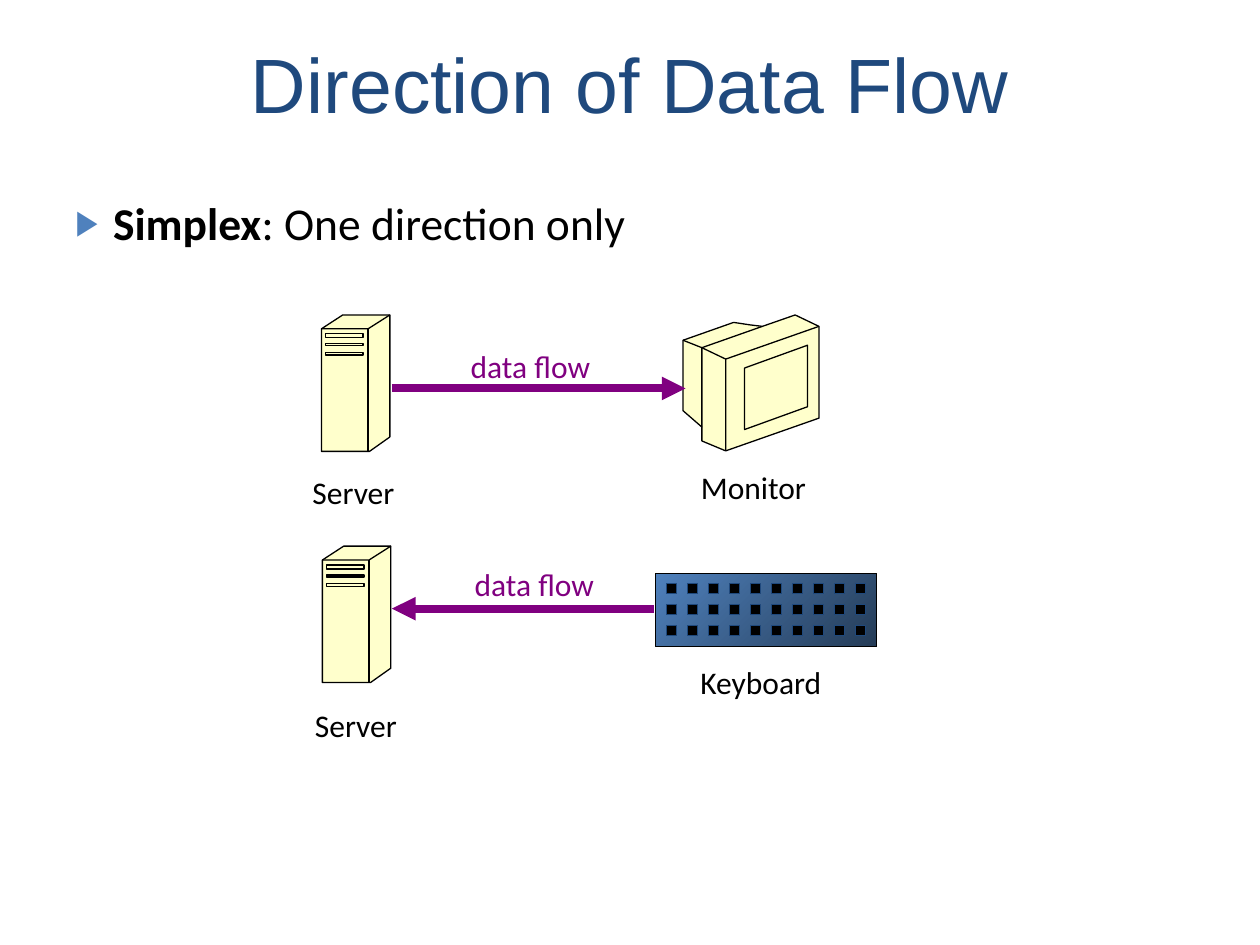
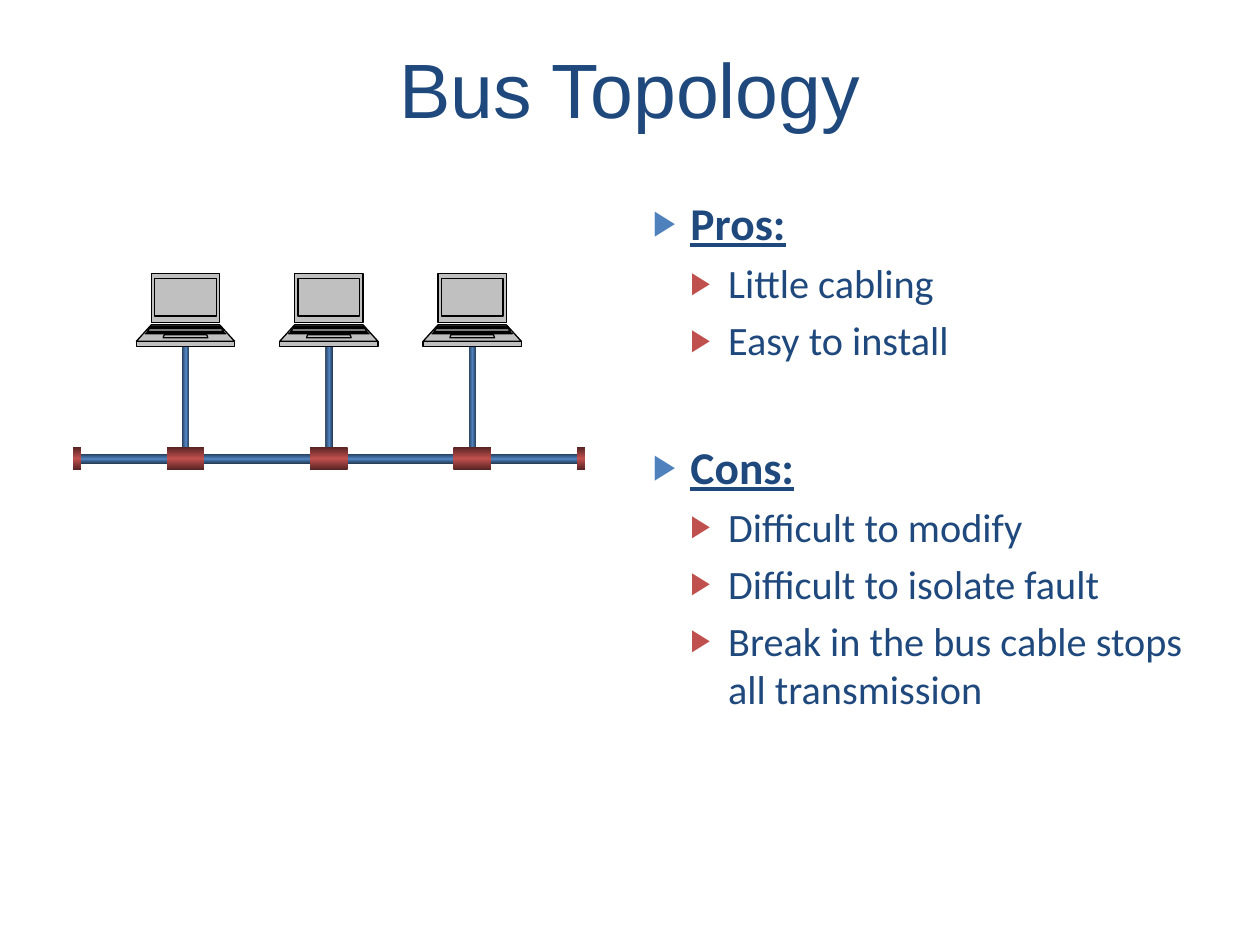
from lxml import etree
from pptx import Presentation
from pptx import util as u
from pptx.dml.color import RGBColor
from pptx.enum import shapes, text
from pptx.oxml import ns

Cm, Pt = u.Cm, u.Pt
NAVY = RGBColor(0x1F, 0x49, 0x7D)
BLUE = RGBColor(0x4F, 0x81, 0xBD)
DARK_BLUE = RGBColor(0x25, 0x3C, 0x57)
RED = RGBColor(0xC0, 0x50, 0x4D)
DARK_RED = RGBColor(0x59, 0x25, 0x24)
CREAM = RGBColor(0xFF, 0xFF, 0xCC)
PURPLE = RGBColor(0x80, 0x00, 0x80)
GREY = RGBColor(0xC0, 0xC0, 0xC0)
BLACK = RGBColor(0, 0, 0)
RECT = shapes.MSO_SHAPE.RECTANGLE


def paint(sp, fill, line=None, angle=0):
    """Fill with a colour or a list of evenly spaced gradient colours."""
    sp.shadow.inherit = False
    if isinstance(fill, list):
        sp.fill.gradient()
        sp.fill.gradient_angle = -angle % 360
        stops = sp._element.spPr.find(".//" + ns.qn("a:gsLst"))
        for old in list(stops):
            stops.remove(old)
        for i, colour in enumerate(fill):
            pos = str(100000 * i // (len(fill) - 1))
            gs = etree.SubElement(stops, ns.qn("a:gs"), pos=pos)
            etree.SubElement(gs, ns.qn("a:srgbClr"), val=str(colour))
    else:
        sp.fill.solid()
        sp.fill.fore_color.rgb = fill
    if line is None:
        sp.line.fill.background()
    else:
        sp.line.color.rgb = line
        sp.line.width = Pt(0.75)


def outline(s, x, y, fill, faces, edges=()):
    """One freeform of filled faces and open edges, in cm from (x, y)."""
    fb = None
    for i, contour in enumerate([*faces, *edges]):
        pts = [(100 * px, 100 * py) for px, py in contour]
        if fb is None:
            fb = s.shapes.build_freeform(*pts[0], scale=Cm(0.01))
        else:
            fb.move_to(*pts[0])
        fb.add_line_segments(pts[1:], close=i < len(faces))
    sp = fb.convert_to_shape(Cm(x), Cm(y))
    paint(sp, fill, BLACK)
    # Give each contour its own outline, so that overlaps stay filled
    whole = sp._element.spPr.find(".//" + ns.qn("a:path"))
    holder, size, n = whole.getparent(), dict(whole.attrib), 0
    for step in list(whole):
        if step.tag == ns.qn("a:moveTo"):
            part = etree.SubElement(holder, ns.qn("a:path"), size)
            if n >= len(faces):
                part.set("fill", "none")
            n += 1
        part.append(step)
    holder.remove(whole)


prs = Presentation()
prs.slide_width, prs.slide_height = Cm(25.4), Cm(19.05)
flow, bus = [prs.slides.add_slide(prs.slide_layouts[6]) for _ in range(2)]

# Servers: case, front edges and drive slots
case = [(0, 0.28), (0.43, 0), (1.38, 0), (1.38, 2.46), (0.97, 2.75), (0, 2.75)]
edges = [[(0, 0.28), (0.94, 0.28), (1.38, 0)], [(0.94, 0.28), (0.94, 2.75)]]
for top, bottom in [(0.38, 0.46), (0.58, 0.62), (0.76, 0.81)]:
    edges.append([(0.08, top), (0.84, top), (0.84, bottom), (0.08, bottom), (0.08, top)])
for x, y in [(6.48, 6.35), (6.5, 11.01)]:
    outline(flow, x, y, CREAM, [case], edges)

# Monitor: body, then edges and screen
body = [(0.86, 2.74), (0.38, 2.54), (0.38, 2.26), (0, 1.93), (0, 0.51), (1.02, 0.15),
        (1.35, 0.2), (1.6, 0.23), (2.26, 0), (2.74, 0.23), (2.74, 2.08)]
outline(flow, 13.77, 6.35, CREAM, [body], [
    [(0, 0.51), (0.38, 0.66), (0.86, 0.89)],
    [(0.38, 2.26), (0.38, 0.66), (1.6, 0.23)],
    [(2.74, 0.23), (0.86, 0.89), (0.86, 2.74)],
    [(2.51, 1.85), (2.51, 0.61), (1.24, 1.07), (1.24, 2.31), (2.51, 1.85)]])

# Keyboard: case and a grid of keys
keyboard = flow.shapes.add_group_shape()
sp = keyboard.shapes.add_shape(RECT, Cm(13.22), Cm(11.56), Cm(4.45), Cm(1.47))
paint(sp, [BLUE, DARK_BLUE], BLACK, angle=45)
for row in range(3):
    for col in range(10):
        sp = keyboard.shapes.add_shape(RECT, Cm(13.44 + 3.81 * col / 9),
                                       Cm(11.77 + 0.42 * row), Cm(0.2), Cm(0.2))
        paint(sp, BLACK, NAVY)

# Data flow arrows
for start, end, y in [(7.9, 13.82, 7.83), (13.18, 7.9, 12.27)]:
    cn = flow.shapes.add_connector(shapes.MSO_CONNECTOR.STRAIGHT,
                                   Cm(start), Cm(y), Cm(end), Cm(y))
    cn.line.color.rgb = PURPLE
    cn.line.width = Pt(4.5)
    etree.SubElement(cn.line._get_or_add_ln(), ns.qn("a:tailEnd"), type="triangle")
    etree.SubElement(cn._element.spPr, ns.qn("a:effectLst"))

# Bus cable, with a drop and a tap for each laptop, and end terminators
CABLE = [DARK_BLUE, BLUE, DARK_BLUE]
PLUG = [DARK_RED, RED, DARK_RED]
pitch = 2.89
parts = [(1.63, 9.15, 10.01, 0.2, CABLE, 90)]
for i in range(3):
    parts += [(3.67 + pitch * i, 6.58, 0.15, 2.74, CABLE, 0),
              (3.36 + pitch * i, 9.02, 0.76, 0.45, PLUG, 90)]
parts += [(x, 9.02, 0.16, 0.45, PLUG, 90) for x in (1.47, 11.63)]
network = bus.shapes.add_group_shape()
for x, y, w, h, fill, angle in parts:
    sp = network.shapes.add_shape(RECT, Cm(x), Cm(y), Cm(w), Cm(h))
    paint(sp, fill, angle=angle)

# Laptops: symmetric bands as top, bottom, half width at top and at bottom
bands = [
    (0, 0.99, 0.69, 0.69),      # lid
    (1.04, 1.37, 0.69, 0.99),   # base
    (1.37, 1.47, 0.99, 0.99),   # front edge
    (0.1, 0.86, 0.62, 0.62),    # screen
    (1.07, 1.09, 0.69, 0.73),   # key rows
    (1.12, 1.17, 0.73, 0.77),
    (1.19, 1.22, 0.77, 0.81),
    (1.24, 1.3, 0.43, 0.45),    # touch pad
]
faces = [[(-a, top), (a, top), (b, bottom), (-b, bottom)] for top, bottom, a, b in bands]
for i in range(3):
    outline(network, 3.74 + pitch * i, 5.51, GREY, faces)

# Titles
for s, title, h in [(flow, "Direction of Data Flow", 2.49), (bus, "Bus Topology", 2.69)]:
    tf = s.shapes.add_textbox(Cm(1.27), Cm(0.43), Cm(22.86), Cm(h)).text_frame
    tf.word_wrap = True
    tf.vertical_anchor = text.MSO_ANCHOR.MIDDLE
    p = tf.paragraphs[0]
    p.alignment = text.PP_ALIGN.CENTER
    r = p.add_run()
    r.text = title
    r.font.color.rgb = NAVY
    for name, value in {"name": "Arial", "size": Pt(44)}.items():
        setattr(r.font, name, value)

# Device and arrow labels
for label, x, y, w, colour in [
        ("Server", 6.05, 9.41, 2.31, BLACK), ("Monitor", 13.88, 9.32, 2.62, BLACK),
        ("data flow", 9.24, 6.87, 3.1, PURPLE), ("Keyboard", 13.87, 13.25, 3.15, BLACK),
        ("data flow", 9.32, 11.26, 3.1, PURPLE), ("Server", 6.1, 14.1, 2.31, BLACK)]:
    tf = flow.shapes.add_textbox(Cm(x), Cm(y), Cm(w), Cm(1.02)).text_frame
    tf.word_wrap = False
    tf.auto_size = text.MSO_AUTO_SIZE.SHAPE_TO_FIT_TEXT
    r = tf.paragraphs[0].add_run()
    r.text = label
    r.font.color.rgb = colour
    for name, value in {"name": "Calibri", "size": Pt(18)}.items():
        setattr(r.font, name, value)

# Bulleted text: level, space before, then runs with their own format
HEAD = {"bold": True, "underline": True}
bodies = [
    (flow, 1.27, 22.86, BLACK, [
        (0, 6, [("Simplex", {"bold": True}), (": One direction only", {})])]),
    (bus, 12.91, 11.22, NAVY, [
        (0, 6, [("Pros:", HEAD)]),
        (1, 5, [("Little cabling", {})]),
        (1, 5, [("Easy to install", {})]),
        (0, 43, [("Cons:", HEAD)]),
        (1, 5, [("Difficult to modify", {})]),
        (1, 5, [("Difficult to isolate fault", {})]),
        (1, 5, [("Break in the bus cable stops all transmission", {})])]),
]
for s, x, w, colour, items in bodies:
    tf = s.shapes.add_textbox(Cm(x), Cm(3.81), Cm(w), Cm(13.13)).text_frame
    tf.word_wrap = True
    for i, (level, before, runs) in enumerate(items):
        p = tf.add_paragraph() if i else tf.paragraphs[0]
        p.level = level
        p.space_before = Pt(before)
        pPr = p._p.get_or_add_pPr()
        pPr.set("marL", str(Cm(0.76) * (level + 1)))
        pPr.set("indent", str(-Cm(0.76)))
        clr = etree.SubElement(pPr, ns.qn("a:buClr"))
        etree.SubElement(clr, ns.qn("a:srgbClr"), val=str([BLUE, RED][level]))
        etree.SubElement(pPr, ns.qn("a:buSzPct"), val="76000")
        etree.SubElement(pPr, ns.qn("a:buFont"), typeface="Arial")
        etree.SubElement(pPr, ns.qn("a:buChar"), char="▶")
        for words, extra in runs:
            r = p.add_run()
            r.text = words
            r.font.color.rgb = colour
            fmt = {"name": "Calibri", "size": Pt([26, 23][level]), **extra}
            for name, value in fmt.items():
                setattr(r.font, name, value)

prs.save("out.pptx")
